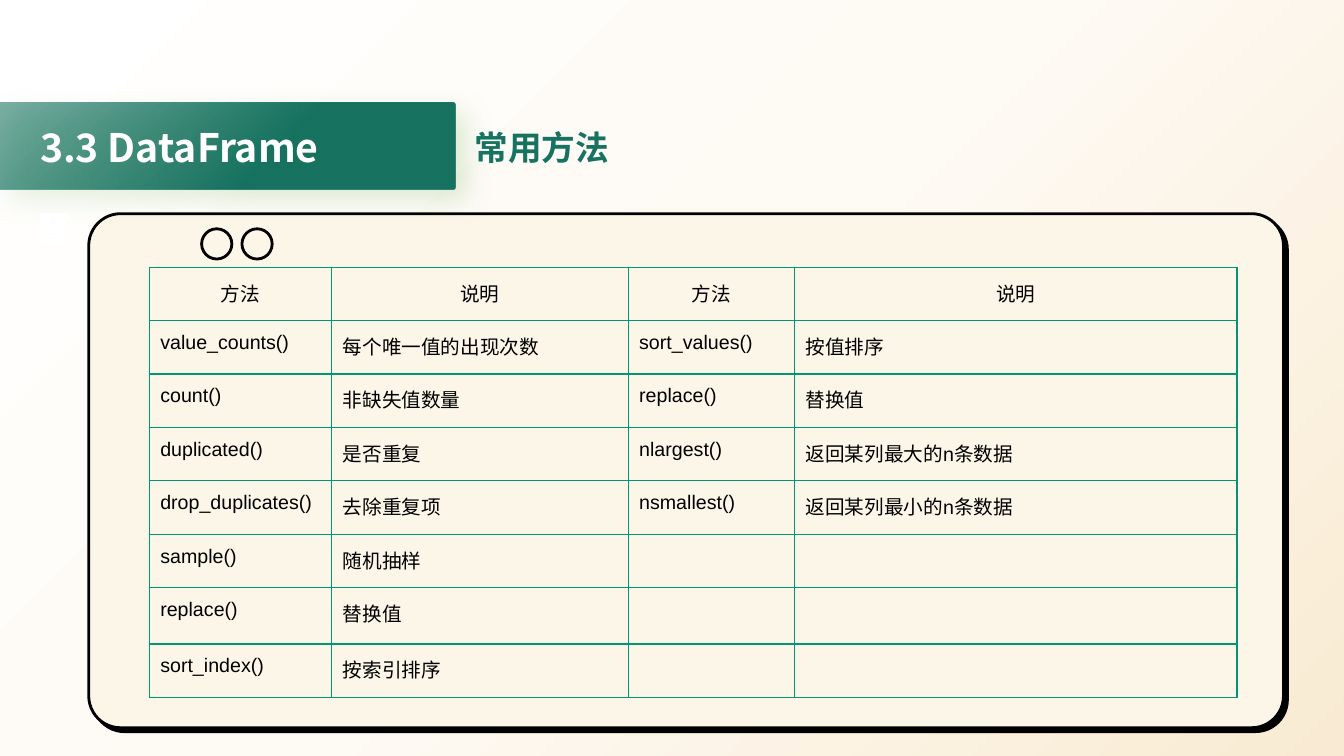
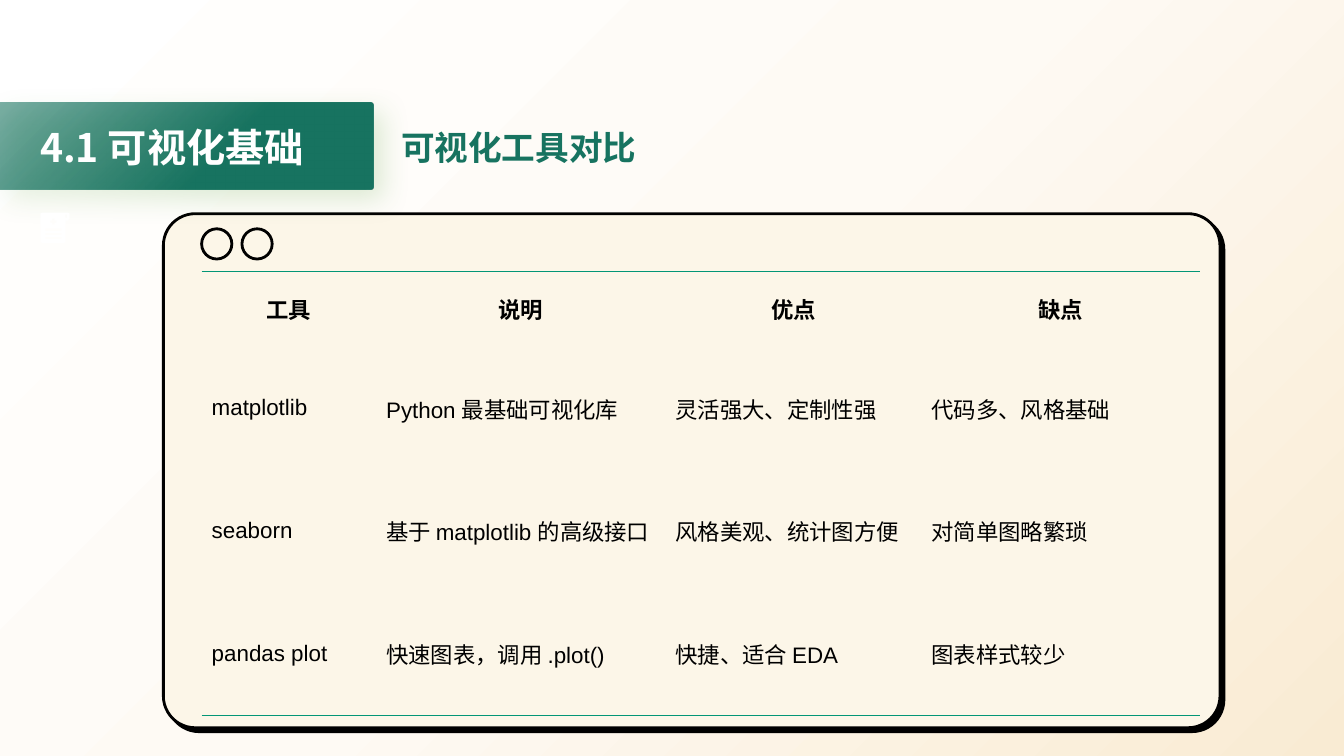
from dataclasses import dataclass

from lxml import etree
from pptx import Presentation
from pptx.dml.color import RGBColor
from pptx.enum.shapes import MSO_SHAPE as Preset
from pptx.enum.text import MSO_ANCHOR as Anchor, PP_ALIGN as Align
from pptx.oxml.ns import qn
from pptx.util import Inches, Pt

GREEN, BORDER, CREAM, BLACK, WHITE = "177360", "029676", "FCF6E8", "000000", "FFFFFF"
LATIN_FONT, CHINESE_FONT = "Arial", "Noto Sans CJK SC"
NO_TABLE_STYLE = "{2D5ABB26-0587-4C30-8999-92F81FD0307C}"
ALL_SIDES = ("lnL", "lnR", "lnT", "lnB")
BACKDROP_STOPS = ((0, "F9EBD3", 100), (50, "FEFAF4", 100), (100, WHITE, 100))
BAND_STOPS = ((0, GREEN, 56), (60, GREEN, 100), (100, GREEN, 100))
ICON_OUTLINES = (
    ((42, 211), (40, 212), (40, 240), (42, 241), (64, 241), (65, 240),
     (65, 219), (67, 219), (69, 217), (69, 212), (67, 211)),
    ((50, 219), (52, 219), (52, 217), (54, 217), (54, 219), (56, 219),
     (56, 221), (54, 221), (54, 223), (52, 223), (52, 221), (50, 221)),
    *(((45, top), (61, top), (61, top + 2), (45, top + 2)) for top in (227, 231, 235)),
    ((65, 213), (66, 213), (66, 216), (65, 216)),
)


@dataclass(frozen=True)
class Box:
    left: float
    top: float
    width: float
    height: float

    def lengths(self) -> tuple:
        return tuple(Inches(value) for value in (self.left, self.top, self.width, self.height))


@dataclass(frozen=True)
class TextStyle:
    size: float
    color: str = BLACK
    bold: bool = False
    font: str = LATIN_FONT


@dataclass(frozen=True)
class Shadow:
    color: str
    alpha: int
    blur: float
    distance: float


@dataclass(frozen=True)
class TableSpec:
    left: float
    top: float
    columns: tuple
    heights: tuple
    rows: tuple
    size: float
    bold_header: bool
    grid: bool
    anchor: Anchor
    margins: tuple


@dataclass(frozen=True)
class Page:
    section: str
    topic: str
    band_width: float
    section_width: float
    topic_left: float
    panel: Box
    table: TableSpec


PANEL_SHADOW = Shadow(BLACK, 100, 0, 4)
BAND_SHADOW = Shadow("549E39", 20, 20, 10)
SECTION_STYLE = TextStyle(28, WHITE, True, CHINESE_FONT)
TOPIC_STYLE = TextStyle(24, GREEN, True)

METHODS = TableSpec(
    1.48, 2.65, (1.81, 2.94, 1.65, 4.39), (0.53,) * 6 + (0.56, 0.53),
    (
        ("方法", "说明", "方法", "说明"),
        ("value_counts()", "每个唯一值的出现次数", "sort_values()", "按值排序"),
        ("count()", "非缺失值数量", "replace()", "替换值"),
        ("duplicated()", "是否重复", "nlargest()", "返回某列最大的n条数据"),
        ("drop_duplicates()", "去除重复项", "nsmallest()", "返回某列最小的n条数据"),
        ("sample()", "随机抽样", "", ""),
        ("replace()", "替换值", "", ""),
        ("sort_index()", "按索引排序", "", ""),
    ),
    14, False, True, Anchor.TOP, (0.11, 0.11),
)
TOOLS = TableSpec(
    2, 2.69, (1.73, 2.87, 2.54, 2.76), (0.75,) + (1.22,) * 3,
    (
        ("工具", "说明", "优点", "缺点"),
        ("matplotlib", "Python 最基础可视化库", "灵活强大、定制性强", "代码多、风格基础"),
        ("seaborn", "基于 matplotlib 的高级接口", "风格美观、统计图方便", "对简单图略繁琐"),
        ("pandas plot", "快速图表，调用 .plot()", "快捷、适合 EDA", "图表样式较少"),
    ),
    16, True, False, Anchor.MIDDLE, (0.1, 0.05),
)
PAGES = (
    Page("3.3 DataFrame", "常用方法", 4.54, 4.08, 4.61, Box(0.88, 2.12, 11.85, 5.1), METHODS),
    Page("4.1 可视化基础", "可视化工具对比", 3.72, 3.61, 3.88, Box(1.62, 2.12, 10.48, 5.1), TOOLS),
)


def rgb(color: str) -> RGBColor:
    return RGBColor.from_string(color)


def add_element(parent, tag: str, **attributes):
    element = etree.SubElement(parent, qn(tag))
    for name, value in attributes.items():
        element.set(name, str(value))
    return element


def set_gradient(properties, stops: tuple, angle: int) -> None:
    gradient = properties.find(qn("a:gradFill"))
    for child in list(gradient):
        gradient.remove(child)
    stop_list = add_element(gradient, "a:gsLst")
    for position, color, alpha in stops:
        stop = add_element(stop_list, "a:gs", pos=position * 1000)
        tint = add_element(stop, "a:srgbClr", val=color)
        if alpha < 100:
            add_element(tint, "a:alpha", val=alpha * 1000)
    add_element(gradient, "a:lin", ang=angle * 60000, scaled=0)


def set_shadow(shape, shadow: Shadow) -> None:
    shape.shadow.inherit = False
    effects = shape.element.spPr.find(qn("a:effectLst"))
    outer = add_element(effects, "a:outerShdw", blurRad=Pt(shadow.blur), dist=Pt(shadow.distance),
                        dir=45 * 60000, algn="tl", rotWithShape=0)
    tint = add_element(outer, "a:srgbClr", val=shadow.color)
    add_element(tint, "a:alpha", val=shadow.alpha * 1000)


def add_run(paragraph, text: str, style: TextStyle) -> None:
    run = paragraph.add_run()
    run.text = text
    run.font.size = Pt(style.size)
    run.font.bold = style.bold
    run.font.name = style.font
    run.font.color.rgb = rgb(style.color)
    add_element(run.font._element, "a:ea", typeface=CHINESE_FONT)


def add_label(slide, box: Box, text: str, style: TextStyle) -> None:
    frame = slide.shapes.add_textbox(*box.lengths()).text_frame
    frame.word_wrap = True
    frame.vertical_anchor = Anchor.MIDDLE
    add_run(frame.paragraphs[0], text, style)


def add_outlined(slide, preset: Preset, box: Box):
    shape = slide.shapes.add_shape(preset, *box.lengths())
    shape.shadow.inherit = False
    shape.fill.background()
    shape.line.color.rgb = rgb(BLACK)
    shape.line.width = Pt(2)
    return shape


def add_panel(slide, box: Box) -> None:
    panel = add_outlined(slide, Preset.ROUNDED_RECTANGLE, box)
    panel.adjustments[0] = 0.062
    panel.fill.solid()
    panel.fill.fore_color.rgb = rgb(CREAM)
    set_shadow(panel, PANEL_SHADOW)
    for left in (2, 2.4):
        add_outlined(slide, Preset.OVAL, Box(left, 2.27, 0.3, 0.3))


def add_band(slide, width: float) -> None:
    box = Box(-0.02, 1.02, width, 0.86)
    band = slide.shapes.add_shape(Preset.ROUNDED_RECTANGLE, *box.lengths())
    band.adjustments[0] = 0.036
    band.line.fill.background()
    band.fill.gradient()
    set_gradient(band.element.spPr, BAND_STOPS, 45)
    set_shadow(band, BAND_SHADOW)


def add_icon(slide) -> None:
    builder = slide.shapes.build_freeform(*ICON_OUTLINES[0][0], scale=Inches(0.01))
    for outline in ICON_OUTLINES:
        if outline is not ICON_OUTLINES[0]:
            builder.move_to(*outline[0])
        builder.add_line_segments(outline[1:], close=True)
    icon = builder.convert_to_shape()
    icon.shadow.inherit = False
    icon.fill.solid()
    icon.fill.fore_color.rgb = rgb(WHITE)
    icon.line.fill.background()


def set_borders(cell, sides: tuple) -> None:
    properties = cell._tc.get_or_add_tcPr()
    for side in ALL_SIDES:
        line = add_element(properties, f"a:{side}", w=Pt(1))
        if side in sides:
            add_element(add_element(line, "a:solidFill"), "a:srgbClr", val=BORDER)
        else:
            add_element(line, "a:noFill")


def add_grid(slide, spec: TableSpec) -> None:
    box = Box(spec.left, spec.top, sum(spec.columns), sum(spec.heights))
    frame = slide.shapes.add_table(len(spec.rows), len(spec.columns), *box.lengths())
    for style in frame.element.iter(qn("a:tableStyleId")):
        style.text = NO_TABLE_STYLE
    table = frame.table
    table.first_row = table.horz_banding = False
    for column, width in zip(table.columns, spec.columns):
        column.width = Inches(width)
    edge_sides = {0: ("lnT",), len(spec.rows) - 1: ("lnB",)}
    for index, texts in enumerate(spec.rows):
        table.rows[index].height = Inches(spec.heights[index])
        header = index == 0
        for cell, text in zip(table.rows[index].cells, texts):
            set_borders(cell, ALL_SIDES if spec.grid else edge_sides.get(index, ()))
            cell.fill.background()
            cell.vertical_anchor = spec.anchor
            cell.margin_left = cell.margin_right = Inches(spec.margins[0])
            cell.margin_top = cell.margin_bottom = Inches(spec.margins[1])
            if text:
                paragraph = cell.text_frame.paragraphs[0]
                paragraph.alignment = Align.CENTER if header else Align.LEFT
                add_run(paragraph, text, TextStyle(spec.size, bold=header and spec.bold_header))


def add_page(presentation, page: Page) -> None:
    slide = presentation.slides.add_slide(presentation.slide_layouts[6])
    add_panel(slide, page.panel)
    add_band(slide, page.band_width)
    add_label(slide, Box(0.3, 1.17, page.section_width, 0.57), page.section, SECTION_STYLE)
    add_label(slide, Box(page.topic_left, 1.21, 3.92, 0.5), page.topic, TOPIC_STYLE)
    add_icon(slide)
    add_grid(slide, page.table)


def main() -> None:
    """Build the two table slides on a shared gradient background."""
    presentation = Presentation()
    presentation.slide_width = Inches(13.33)
    presentation.slide_height = Inches(7.5)
    master = presentation.slide_master
    master.background.fill.gradient()
    set_gradient(next(master.element.iter(qn("p:bgPr"))), BACKDROP_STOPS, 225)
    for page in PAGES:
        add_page(presentation, page)
    presentation.save("out.pptx")


if __name__ == "__main__":
    main()
